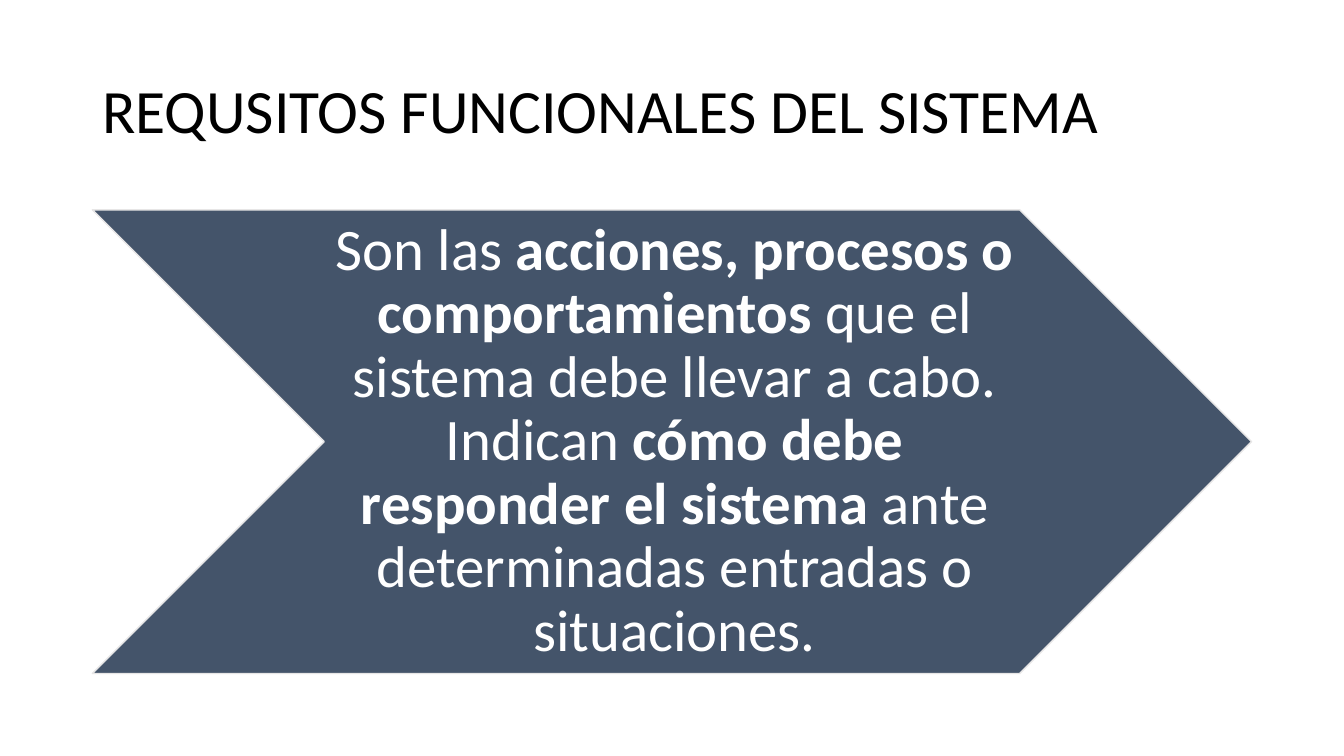
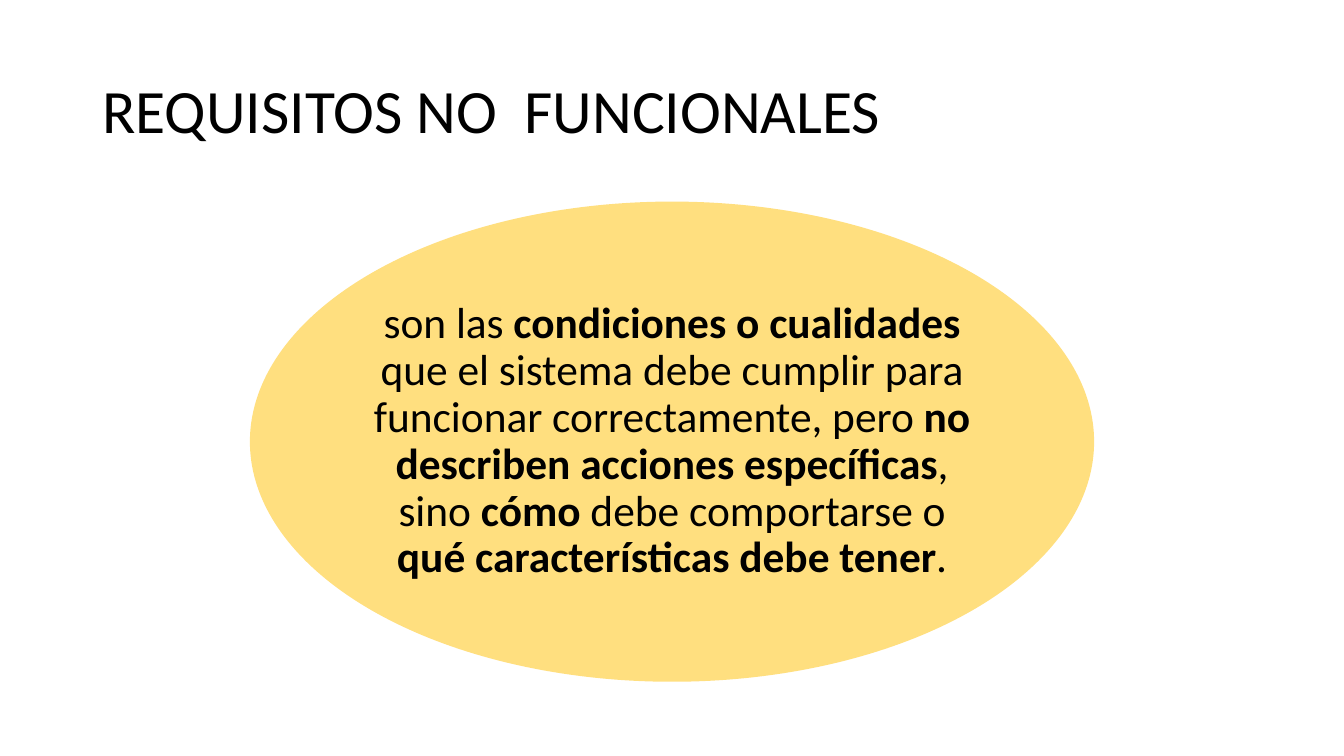
from lxml import etree
from pptx import Presentation
from pptx.dml.color import RGBColor
from pptx.enum.shapes import MSO_SHAPE
from pptx.enum.text import MSO_ANCHOR, MSO_AUTO_SIZE, PP_ALIGN
from pptx.oxml.ns import qn
from pptx.util import Pt

CHEVRON, ELLIPSE = MSO_SHAPE.CHEVRON, MSO_SHAPE.OVAL
MIDDLE, LEFT, CENTER = MSO_ANCHOR.MIDDLE, PP_ALIGN.LEFT, PP_ALIGN.CENTER
NO_AUTOFIT = MSO_AUTO_SIZE.NONE

FONT = "Calibri"
LINE_SPACING = 0.9
BLACK = RGBColor(0x00, 0x00, 0x00)
WHITE = RGBColor(0xFF, 0xFF, 0xFF)
SLATE = RGBColor(0x44, 0x54, 0x6A)
PALE_GREY = RGBColor(0xE7, 0xE6, 0xE6)
GOLD = RGBColor(0xFF, 0xC0, 0x00)

# Boxes in points: left, top, width, height
SLIDE_WIDTH, SLIDE_HEIGHT = 960, 540
TITLE_BOX = (66, 28.8, 828, 104.4)
BODY_BOX = (66, 144, 828, 343)

FUNCTIONAL = [
    ("Son las ", False),
    ("acciones, procesos o comportamientos", True),
    (" que el sistema debe llevar a cabo. Indican ", False),
    ("cómo debe responder el sistema", True),
    (" ante determinadas entradas o situaciones.", False),
]
NON_FUNCTIONAL = [
    ("son las ", False),
    ("condiciones o cualidades", True),
    (" que el sistema debe cumplir para funcionar correctamente, pero ", False),
    ("no describen acciones específicas", True),
    (", sino ", False),
    ("cómo", True),
    (" debe comportarse o ", False),
    ("qué características debe tener", True),
    (".", False),
]


def format_run(run, size, color, bold=False):
    run.font.name = FONT
    run.font.size = Pt(size)
    run.font.bold = bold
    run.font.color.rgb = color


def format_paragraph(paragraph, alignment):
    paragraph.alignment = alignment
    paragraph.line_spacing = LINE_SPACING


def add_titled_slide(presentation, title_text):
    """Add a slide with the shared title style."""
    slide = presentation.slides.add_slide(presentation.slide_layouts[5])
    title = slide.shapes.title
    title.left, title.top, title.width, title.height = map(Pt, TITLE_BOX)
    text_frame = title.text_frame
    text_frame.text = title_text
    text_frame.word_wrap = True
    text_frame.auto_size = NO_AUTOFIT
    text_frame.vertical_anchor = MIDDLE
    paragraph = text_frame.paragraphs[0]
    format_paragraph(paragraph, LEFT)
    format_run(paragraph.runs[0], 44, BLACK)
    return slide


def add_centered_shape(slide, kind, box, width, height, fill_color):
    """Place a filled shape without outline in the middle of the box."""
    left, top, box_width, box_height = box
    shape = slide.shapes.add_shape(
        kind,
        Pt(left + (box_width - width) / 2),
        Pt(top + (box_height - height) / 2),
        Pt(width),
        Pt(height),
    )
    shape.shadow.inherit = False
    shape.fill.solid()
    shape.fill.fore_color.rgb = fill_color
    shape.line.fill.background()
    return shape


def write_definition(shape, parts, size, color, margins):
    """Write the definition, with its key phrases in bold, inside the shape."""
    text_frame = shape.text_frame
    text_frame.word_wrap = True
    text_frame.auto_size = NO_AUTOFIT
    text_frame.vertical_anchor = MIDDLE
    (text_frame.margin_left, text_frame.margin_top,
     text_frame.margin_right, text_frame.margin_bottom) = map(Pt, margins)
    paragraph = text_frame.paragraphs[0]
    format_paragraph(paragraph, CENTER)
    for text, bold in parts:
        run = paragraph.add_run()
        run.text = text
        format_run(run, size, color, bold)


def set_opacity(shape, percent):
    color = shape.fill._xPr.find(qn("a:solidFill"))[0]
    etree.SubElement(color, qn("a:alpha")).set("val", str(percent * 1000))


def add_chevron_definition(slide, box):
    chevron = add_centered_shape(slide, CHEVRON, box, box[2], 331.2, SLATE)
    chevron.line.color.rgb = PALE_GREY
    chevron.line.width = Pt(1)
    write_definition(chevron, FUNCTIONAL, 42, WHITE, (4, 2, 0, 2))


def add_ellipse_definition(slide, box):
    ellipse = add_centered_shape(slide, ELLIPSE, box, 603, box[3], GOLD)
    set_opacity(ellipse, 50)
    write_definition(ellipse, NON_FUNCTIONAL, 31, BLACK, (0, 0, 0, 0))


def main():
    presentation = Presentation()
    presentation.slide_width = Pt(SLIDE_WIDTH)
    presentation.slide_height = Pt(SLIDE_HEIGHT)

    # Functional requirements
    slide = add_titled_slide(presentation, "REQUSITOS FUNCIONALES DEL SISTEMA")
    add_chevron_definition(slide, BODY_BOX)

    # Non-functional requirements
    slide = add_titled_slide(presentation, "REQUISITOS NO  FUNCIONALES")
    add_ellipse_definition(slide, BODY_BOX)

    presentation.save("out.pptx")


if __name__ == "__main__":
    main()
